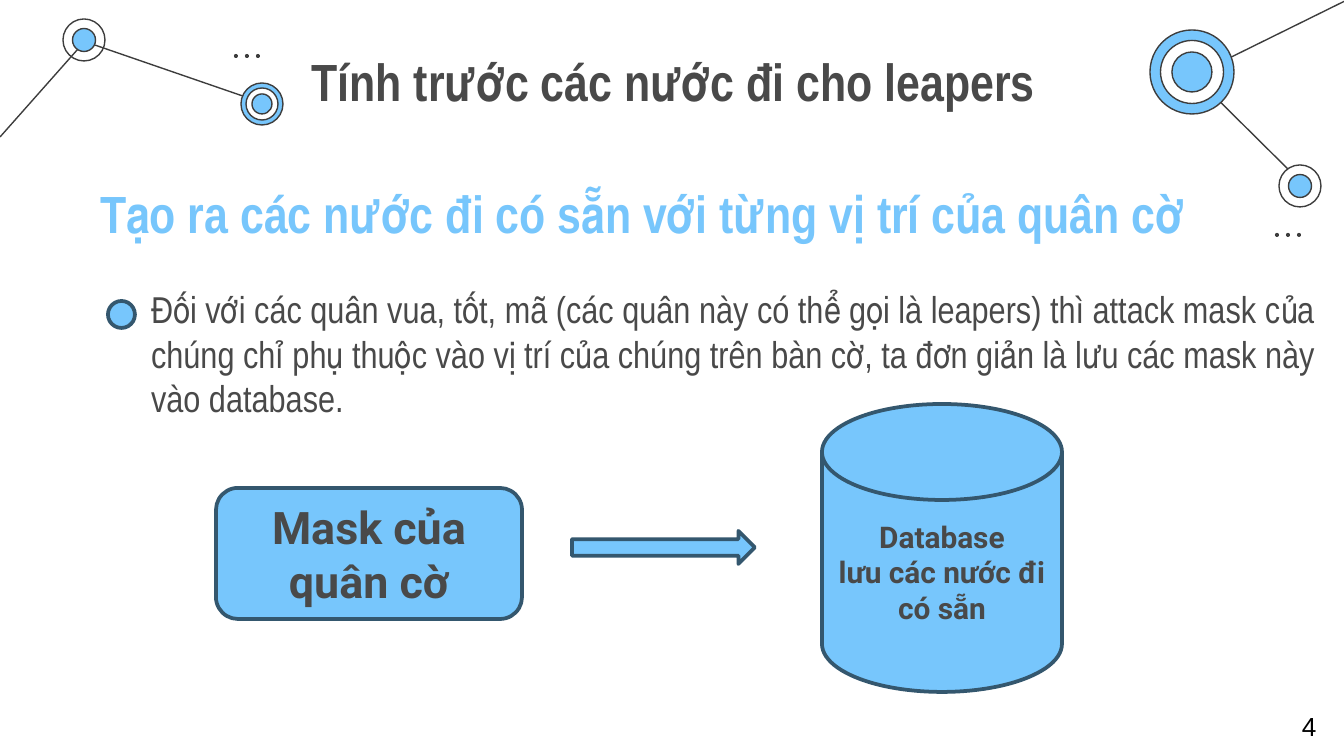
from lxml import etree
from pptx import Presentation
from pptx.dml.color import RGBColor
from pptx.enum.shapes import MSO_CONNECTOR, MSO_SHAPE
from pptx.enum.text import MSO_ANCHOR, PP_ALIGN
from pptx.oxml.ns import qn
from pptx.util import Pt

PX = 9144000 / 1344
COLORS = {
    "blue": "77C6FC",
    "navy": "34576E",
    "ink": "3D3D3D",
    "text": "494949",
    "white": "FFFFFF",
    "black": "000000",
}
STRAIGHT = MSO_CONNECTOR.STRAIGHT
OVAL = MSO_SHAPE.OVAL
ROUNDED = MSO_SHAPE.ROUNDED_RECTANGLE
DOT = MSO_SHAPE.FLOWCHART_CONNECTOR
DISK = MSO_SHAPE.FLOWCHART_MAGNETIC_DISK
ARROW = MSO_SHAPE.RIGHT_ARROW
LEFT, CENTER = PP_ALIGN.LEFT, PP_ALIGN.CENTER
TOP, MIDDLE = MSO_ANCHOR.TOP, MSO_ANCHOR.MIDDLE


def emu(*lengths):
    """Turn px lengths into EMU."""
    return [round(length * PX) for length in lengths]


def rgb(name):
    """Look up a named colour."""
    return RGBColor.from_string(COLORS[name])


def write_text(shape, text, *, size, font="Arial Narrow", color="text", bold=False,
               align=LEFT, anchor=TOP, inset=(13, 13)):
    """Write formatted text into a shape."""
    frame = shape.text_frame
    frame.word_wrap = True
    frame.vertical_anchor = anchor
    frame.margin_left = frame.margin_right = emu(inset[0])[0]
    frame.margin_top = frame.margin_bottom = emu(inset[1])[0]
    frame.text = text
    for paragraph in frame.paragraphs:
        paragraph.alignment = align
        for style in [paragraph.font, *(run.font for run in paragraph.runs)]:
            style.name = font
            style.size = Pt(size)
            style.bold = bold
            style.color.rgb = rgb(color)


def add_text(slide, box, text, **text_format):
    """Add a text box."""
    write_text(slide.shapes.add_textbox(*emu(*box)), text, **text_format)


def add_shape(slide, kind, box, fill="blue", line="navy", width=2):
    """Add a preset shape, with no fill or line where None is given."""
    shape = slide.shapes.add_shape(kind, *emu(*box))
    shape.shadow.inherit = False
    if fill:
        shape.fill.solid()
        shape.fill.fore_color.rgb = rgb(fill)
    else:
        shape.fill.background()
    if line:
        shape.line.color.rgb = rgb(line)
        shape.line.width = Pt(width)
    else:
        shape.line.fill.background()
    return shape


def add_link(slide, start, end):
    """Add a thin line between two points."""
    connector = slide.shapes.add_connector(STRAIGHT, *emu(*start, *end))
    connector.line.color.rgb = rgb("ink")
    connector.line.width = Pt(0.75)
    etree.SubElement(connector._element.spPr, qn("a:effectLst"))


def add_node(slide, center, rings):
    """Add concentric circles, given as diameter and fill from the outside in."""
    x, y = center
    for diameter, fill in rings:
        box = (x - diameter / 2, y - diameter / 2, diameter, diameter)
        add_shape(slide, OVAL, box, fill, "ink", 0.75)


def add_ellipsis(slide, left, top):
    """Add a row of three small dots."""
    for index in range(3):
        add_shape(slide, OVAL, (left + 11 * index, top, 4, 4), "ink", None)


def add_decoration(slide):
    """Add the linked nodes in the top corners."""
    add_link(slide, (1300, 181), (1192, 74))
    add_link(slide, (86, 42), (263, 103))
    add_link(slide, (0, 137), (86, 40))
    add_link(slide, (1345, 1), (1197, 74))
    add_node(slide, (84, 40), [(42, None), (23, "blue")])
    add_node(slide, (262, 104), [(42, "blue"), (32, "white"), (20, "blue")])
    add_node(slide, (1192, 72), [(84, "blue"), (63, "white"), (40, "blue")])
    add_node(slide, (1300, 186), [(42, "white"), (23, "blue")])
    add_ellipsis(slide, 234, 54)
    add_ellipsis(slide, 1275, 233)


def main():
    """Build the slide and save it."""
    presentation = Presentation()
    presentation.slide_width, presentation.slide_height = emu(1344, 756)
    slide = presentation.slides.add_slide(presentation.slide_layouts[6])
    add_decoration(slide)

    add_text(slide, (1289, 703, 42, 46), "4", size=14, font="Arial", color="black",
             inset=(13, 7))
    add_text(slide, (187, 36, 972, 81), "Tính trước các nước đi cho leapers",
             size=28, bold=True, align=CENTER)
    add_text(slide, (87, 168, 1189, 85),
             "Tạo ra các nước đi có sẵn với từng vị trí của quân cờ",
             size=28, bold=True, color="blue")
    add_text(slide, (138, 273, 1192, 148),
             "Đối với các quân vua, tốt, mã (các quân này có thể gọi là leapers) "
             "thì attack mask của chúng chỉ phụ thuộc vào vị trí của chúng trên bàn cờ, "
             "ta đơn giản là lưu các mask này vào database.", size=20)

    label = {"font": "Roboto", "bold": True, "align": CENTER, "anchor": MIDDLE,
             "inset": (13, 7)}
    mask = add_shape(slide, ROUNDED, (216, 488, 306, 131))
    write_text(mask, "Mask của quân cờ", size=24, **label)
    add_shape(slide, DOT, (108, 301, 27, 27))
    database = add_shape(slide, DISK, (822, 404, 240, 288))
    write_text(database, "Database\vlưu các nước đi\ncó sẵn", size=16, **label)
    add_shape(slide, ARROW, (572, 531, 183, 33))

    presentation.save("out.pptx")


if __name__ == "__main__":
    main()
